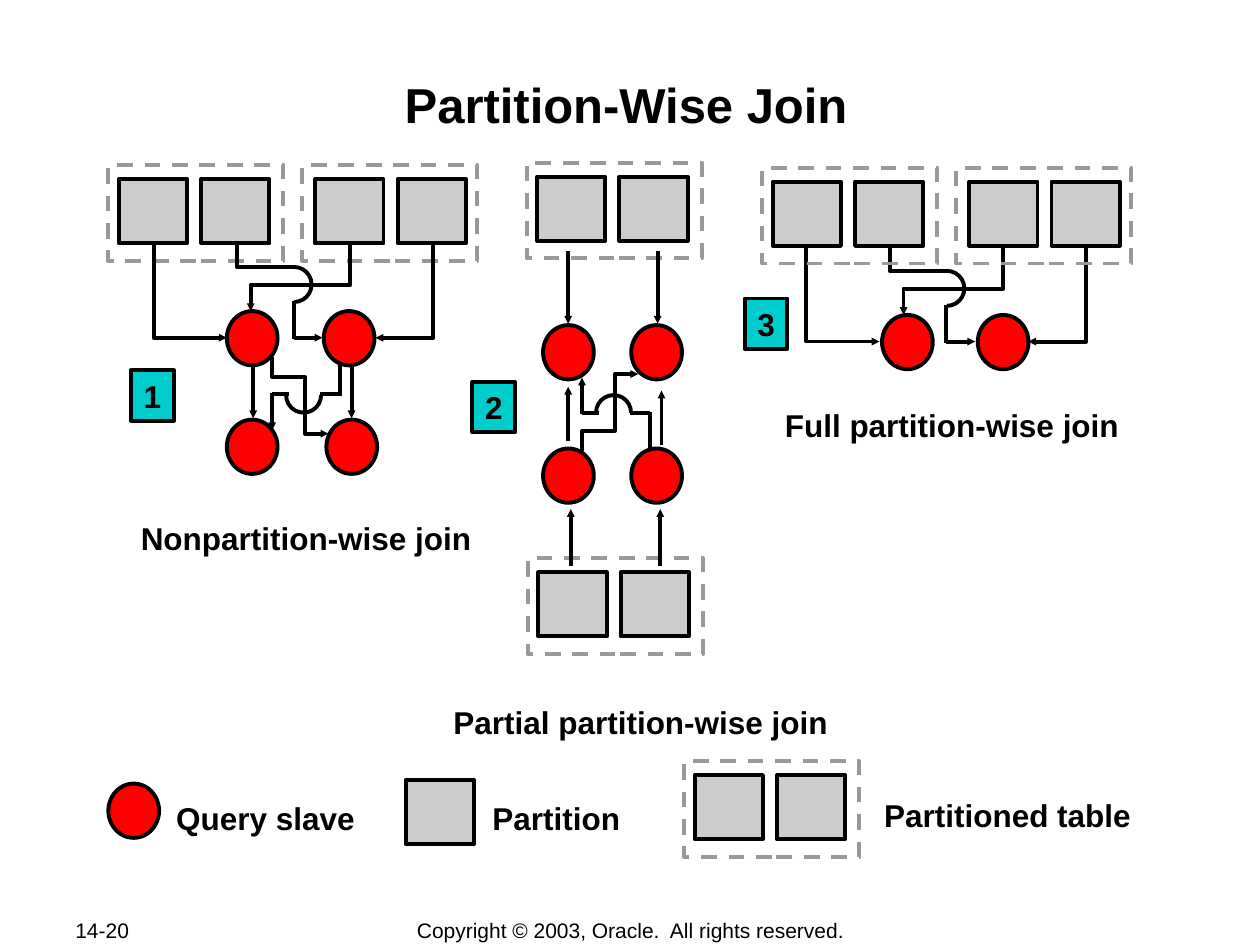
"""Build the slide on partition-wise joins."""
from lxml import etree
from pptx import Presentation, util as u
from pptx.dml.color import RGBColor
from pptx.enum import dml, shapes as sh, text as tx
from pptx.oxml import ns

HUES = {"ink": "000000", "dash": "999999", "part": "CCCCCC",
        "slave": "FF0000", "badge": "00CCCC"}

TITLE = ("Partition-Wise Join", 69.8, 41.8, 576, 69)
FEET = [("14-20", 36, 524.2, 76.3, 14.4, "LEFT"),
        ("Copyright © 2003, Oracle.  All rights reserved.",
         198.7, 524.2, 323.3, 15.1, "CENTER")]
LABELS = [("Nonpartition-wise join", 73.4, 293, 203.8),
          ("Full partition-wise join", 441.4, 228.3, 206),
          ("Partial partition-wise join", 252, 398.2, 229),
          ("Query slave", 93.6, 452.9, 116.6),
          ("Partition", 274.3, 452.9, 87.8),
          ("Partitioned table", 498.2, 451.4, 155.5)]
BADGES = [("1", 74.9, 211.7), ("2", 270, 218.2), ("3", 425.5, 170.6)]

TABLES = [(62, 94.3, 6), (172.8, 94.3, 7.4), (301, 92.9, 6),
          (301.7, 319, 6), (435.6, 95.8, 6), (546.5, 95.8, 7.4),
          (391, 434.9, 6)]
PARTS = [(231.8, 445.7)]
SLAVES = [(129.6, 177.8), (185, 177.8), (129.6, 239.8), (186.5, 239.8),
          (310.3, 185.8), (360.7, 185.8), (310.3, 256.3), (360.7, 256.3),
          (504, 180), (558.7, 180), (61.9, 447.8)]

FEED = [([(87.8, 139.7), (87.8, 193), (129.6, 193)], True),
        ([(247.7, 139), (247.7, 193), (214.6, 193)], True),
        ([(200.2, 139), (200.2, 162.7), (143.3, 162.7), (143.3, 177.8)], True),
        ([(169.2, 152.6), (135.4, 152.6), (135.4, 139.7)], False),
        ([(167.8, 172.1), (167.8, 193.7)], False),
        ([(167.8, 193), (184.3, 193)], True)]
FEED_ARC = (168.1, 162.6, 270)
CROSS = [([(27.4, 21.6), (39, 21.6)], False),
         ([(0, 21.6), (9.4, 21.6)], False),
         ([(39, 22.3), (39, 1.4)], False),
         ([(0, 21), (0, 42)], True),
         ([(0, 0), (0, 11.5), (18.7, 11.5), (18.7, 44), (32.2, 44)], True)]
CROSS_ARC = (18, 22)
DOWN = [(144.7, 203.8, 239), (200.9, 204.5, 239)]
RUNS = [(324.7, 143.3, 185), (375.8, 143.3, 185), (324.7, 252, 221),
        (378, 254.2, 223.2), (326.2, 323.3, 290.9), (377.3, 323.3, 290.9)]

deck = Presentation()
deck.slide_width, deck.slide_height = u.Pt(720), u.Pt(540)
page = deck.slides.add_slide(deck.slide_layouts[6]).shapes


def hue(name):
    return RGBColor.from_string(HUES[name])


def style(shape, fill=None, line="ink"):
    shape.shadow.inherit = False
    if fill:
        shape.fill.solid()
        shape.fill.fore_color.rgb = hue(fill)
    else:
        shape.fill.background()
    shape.line.color.rgb = hue(line)
    shape.line.width = u.Pt(2.25)
    return shape


def form(kind, box, fill=None, line="ink"):
    return style(page.add_shape(kind, *map(u.Pt, box)), fill, line)


def write(shape, words, size, bold=True, align="LEFT", inset=(7.2, 3.6),
          wrap=False, anchor="TOP"):
    frame = shape.text_frame
    frame.word_wrap = wrap
    frame.vertical_anchor = tx.MSO_ANCHOR[anchor]
    frame.margin_left = frame.margin_right = u.Pt(inset[0])
    frame.margin_top = frame.margin_bottom = u.Pt(inset[1])
    para = frame.paragraphs[0]
    para.text = words
    para.alignment = tx.PP_ALIGN[align]
    font = para.font
    font.name, font.size, font.bold = "Arial", u.Pt(size), bold
    font.color.rgb = hue("ink")


def note(words, box, *rest, **more):
    write(page.add_textbox(*map(u.Pt, box)), words, *rest, **more)


def wire(spots, head, dx=0, dy=0, flip=1):
    spots = [(u.Pt(x + dx), u.Pt(y * flip + dy)) for x, y in spots]
    if len(spots) == 2:
        item = page.add_connector(sh.MSO_CONNECTOR.STRAIGHT,
                                  *spots[0], *spots[1])
        item.line.color.rgb = hue("ink")
        item.line.width = u.Pt(2.25)
        etree.SubElement(item.element.spPr, ns.qn("a:effectLst"))
    else:
        pen = page.build_freeform(*spots[0])
        pen.add_line_segments(spots[1:], close=False)
        item = style(pen.convert_to_shape())
    if head:
        line = item.element.spPr.find(ns.qn("a:ln"))
        etree.SubElement(line, ns.qn("a:tailEnd"),
                         type="triangle", w="sm", len="sm")


def arc(x, y, start):
    bow = form(sh.MSO_SHAPE.ARC, (x - 10, y - 10, 20, 20))
    bow.adjustments[0] = start * 0.6
    bow.adjustments[1] = (start + 180) % 360 * 0.6


def feed(dx, dy):
    for spots, head in FEED:
        wire(spots, head, dx, dy)
    x, y, start = FEED_ARC
    arc(x + dx, y + dy, start)


def cross(dx, dy, flip, start):
    for spots, head in CROSS:
        wire(spots, head, dx, dy, flip)
    x, y = CROSS_ARC
    arc(x + dx, y * flip + dy, start)


def part(x, y):
    form(sh.MSO_SHAPE.RECTANGLE, (x, y, 39, 36.7), "part")


def table(x, y, inset):
    for col in range(2):
        part(x + inset + col * 47, y + 8)
    frame = form(sh.MSO_SHAPE.RECTANGLE, (x, y, 100, 54.8), line="dash")
    frame.line.dash_style = dml.MSO_LINE.DASH


feed(373, 2.2)
cross(155.5, 203.8, 1, 0)
for x, top, end in DOWN:
    wire([(x, top), (x, end)], True)
for spot in TABLES:
    table(*spot)
for spot in PARTS:
    part(*spot)
for x, y in SLAVES:
    form(sh.MSO_SHAPE.OVAL, (x, y, 29, 31), "slave")
for x, top, end in RUNS:
    wire([(x, top), (x, end)], True)
cross(332.6, 257.8, -1, 180)
feed(0, 0)

for words, x, y, wide in LABELS:
    note(words, (x, y, wide, 28.8), 18)
for words, x, y in BADGES:
    box = form(sh.MSO_SHAPE.RECTANGLE, (x, y, 24.5, 28.8), "badge")
    write(box, words, 18, align="CENTER")
for words, *box, align in FEET:
    note(words, box, 12, False, align, wrap=True, anchor="MIDDLE")
note(TITLE[0], TITLE[1:], 28, align="CENTER", inset=(0.7, 0.7), wrap=True)

deck.save("out.pptx")
